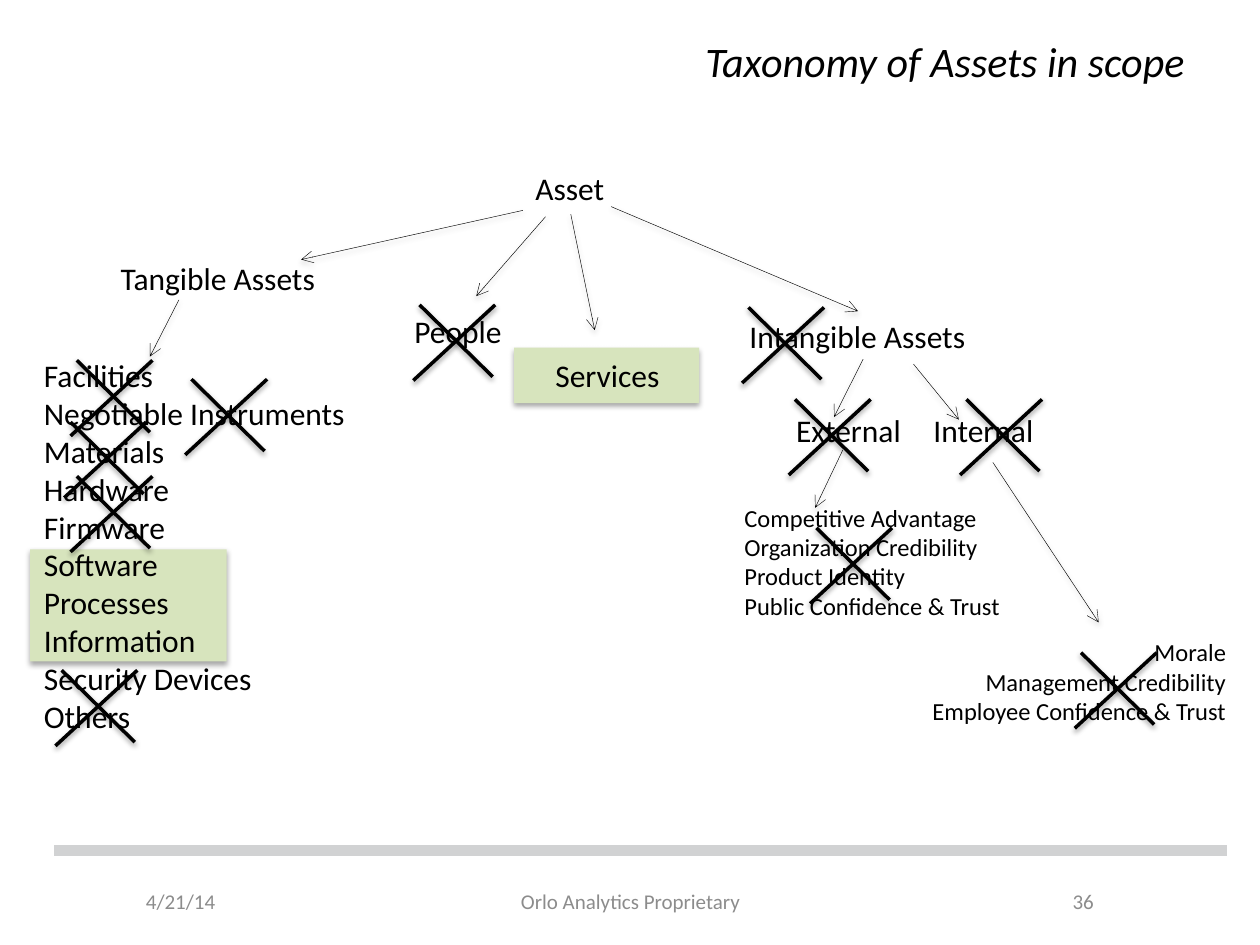
"""Build the slide showing which parts of the asset taxonomy are in scope."""
from lxml import etree
from pptx import Presentation, util as u
from pptx.dml.color import RGBColor
from pptx.enum import shapes, text
from pptx.oxml import ns

COLORS = {"ink": "000000", "footer": "8C8C8C", "rule": "D1D2D3", "in_scope": "D7E4BD"}

presentation = Presentation()
presentation.slide_width, presentation.slide_height = u.Inches(10), u.Inches(7.5)
slide = presentation.slides.add_slide(presentation.slide_layouts[6])
column, row = presentation.slide_width / 100, presentation.slide_height / 75
LEFT, CENTER, RIGHT = text.PP_ALIGN.LEFT, text.PP_ALIGN.CENTER, text.PP_ALIGN.RIGHT


def add_text(lines, left, top, width, height, size=18, align=LEFT, color="ink", label=True):
    box = slide.shapes.add_textbox(*map(int, (left * column, top * row, width * column, height * row)))
    frame = box.text_frame
    frame.word_wrap = not label
    frame.auto_size = text.MSO_AUTO_SIZE.SHAPE_TO_FIT_TEXT if label else text.MSO_AUTO_SIZE.NONE
    frame.vertical_anchor = text.MSO_ANCHOR.TOP if label else text.MSO_ANCHOR.MIDDLE
    frame.text = "\n".join(lines)
    for paragraph in frame.paragraphs:
        paragraph.alignment = align
        paragraph.font.name, paragraph.font.size = "Calibri", u.Pt(size)
        paragraph.font.color.rgb = RGBColor.from_string(COLORS[color])
    return box


def add_line(parent, x1, y1, x2, y2, width, color="ink", shadow=True):
    line = parent.add_connector(shapes.MSO_CONNECTOR.STRAIGHT,
                                *map(int, (x1 * column, y1 * row, x2 * column, y2 * row)))
    line.line.width = u.Pt(width)
    line.line.color.rgb = RGBColor.from_string(COLORS[color])
    effects = etree.SubElement(line._element.spPr, ns.qn("a:effectLst"))
    if shadow:
        shadowed.append((effects, 20000, 38000))
    return line


shadowed = []

for words, left, width, align in [
    ("4/21/14", 10.6, 17.7, LEFT),
    ("36", 71.7, 16.1, RIGHT),
    ("Orlo Analytics Proprietary", 34.2, 31.7, CENTER),
]:
    add_text([words], left, 69.5, width, 4, 12, align, "footer", label=False)
add_line(slide.shapes, 4.3, 67.5, 97.4, 67.5, 6, "rule", shadow=False)

for left, top, width, height in [(40.8, 27.6, 14.7, 4.4), (2.4, 43.6, 15.6, 8.9)]:
    highlight = slide.shapes.add_shape(shapes.MSO_SHAPE.RECTANGLE, *map(
        int, (left * column, top * row, width * column, height * row)))
    highlight.fill.solid()
    highlight.fill.fore_color.rgb = RGBColor.from_string(COLORS["in_scope"])
    highlight.line.fill.background()
    shadowed.append((etree.SubElement(highlight._element.spPr, ns.qn("a:effectLst")), 23000, 35000))

title = add_text(["Taxonomy of Assets in scope"], 5, 2.1, 90, 5.5, 24, RIGHT, label=False)
title.text_frame.paragraphs[0].font.italic = True

for name, left, top, width in [
    ("Asset", 41.5, 12.9, 7.5),
    ("Tangible Assets", 8.6, 20.1, 17.6),
    ("Intangible Assets", 58.5, 24.7, 19.3),
    ("People", 31.9, 24.3, 9),
    ("Services", 43.1, 27.8, 10.4),
    ("External", 62.2, 32.1, 10.4),
    ("Internal", 73.1, 32.1, 10),
]:
    add_text([name], left, top, width, 4)

add_text(["Facilities", "Negotiable Instruments", "Materials", "Hardware", "Firmware", "Software",
          "Processes", "Information", "Security Devices", "Others"], 2.5, 27.8, 26.1, 34.3)
add_text(["Competitive Advantage", "Organization Credibility", "Product Identity",
          "Public Confidence & Trust"], 58.1, 39.4, 22.4, 10.4, 14)
add_text(["Morale", "Management Credibility", "Employee Confidence & Trust"],
         72.8, 50.1, 25.5, 8.1, 14, RIGHT)

for ends in [
    (41.5, 16.7, 23.9, 20.6),
    (48.5, 16.4, 68.1, 24.7),
    (43.3, 17.2, 37.8, 23.5),
    (45.3, 17, 47.2, 26.2),
    (68.5, 28.5, 66.2, 33.1),
    (72.5, 28.9, 76.1, 33.3),
    (66.9, 35.7, 64.7, 40.3),
    (78.8, 36.7, 87.2, 49.4),
    (14.2, 23.8, 11.9, 28.3),
]:
    arrow = add_line(slide.shapes, *ends, 0.25)
    etree.SubElement(arrow._element.spPr.find(ns.qn("a:ln")), ns.qn("a:tailEnd"), type="arrow")

for left, top in [
    (5.6, 28.6), (14.7, 30.1), (5.1, 33.5), (5.6, 37.8), (4.4, 53.2), (32.8, 24.2),
    (58.9, 24.4), (62.6, 31.7), (76.2, 31.7), (64.3, 41.9), (85.3, 51.8),
]:
    cross = slide.shapes.add_group_shape()
    add_line(cross.shapes, left + 0.5, top, left + 6.3, top + 5.7, 2)
    add_line(cross.shapes, left, top + 6, left + 6.5, top, 2)

for effects, distance, opacity in shadowed:
    shadow = etree.SubElement(effects, ns.qn("a:outerShdw"), blurRad="40000", dist=str(distance),
                              dir="5400000", rotWithShape="0")
    shade = etree.SubElement(shadow, ns.qn("a:srgbClr"), val=COLORS["ink"])
    etree.SubElement(shade, ns.qn("a:alpha"), val=str(opacity))

presentation.save("out.pptx")
